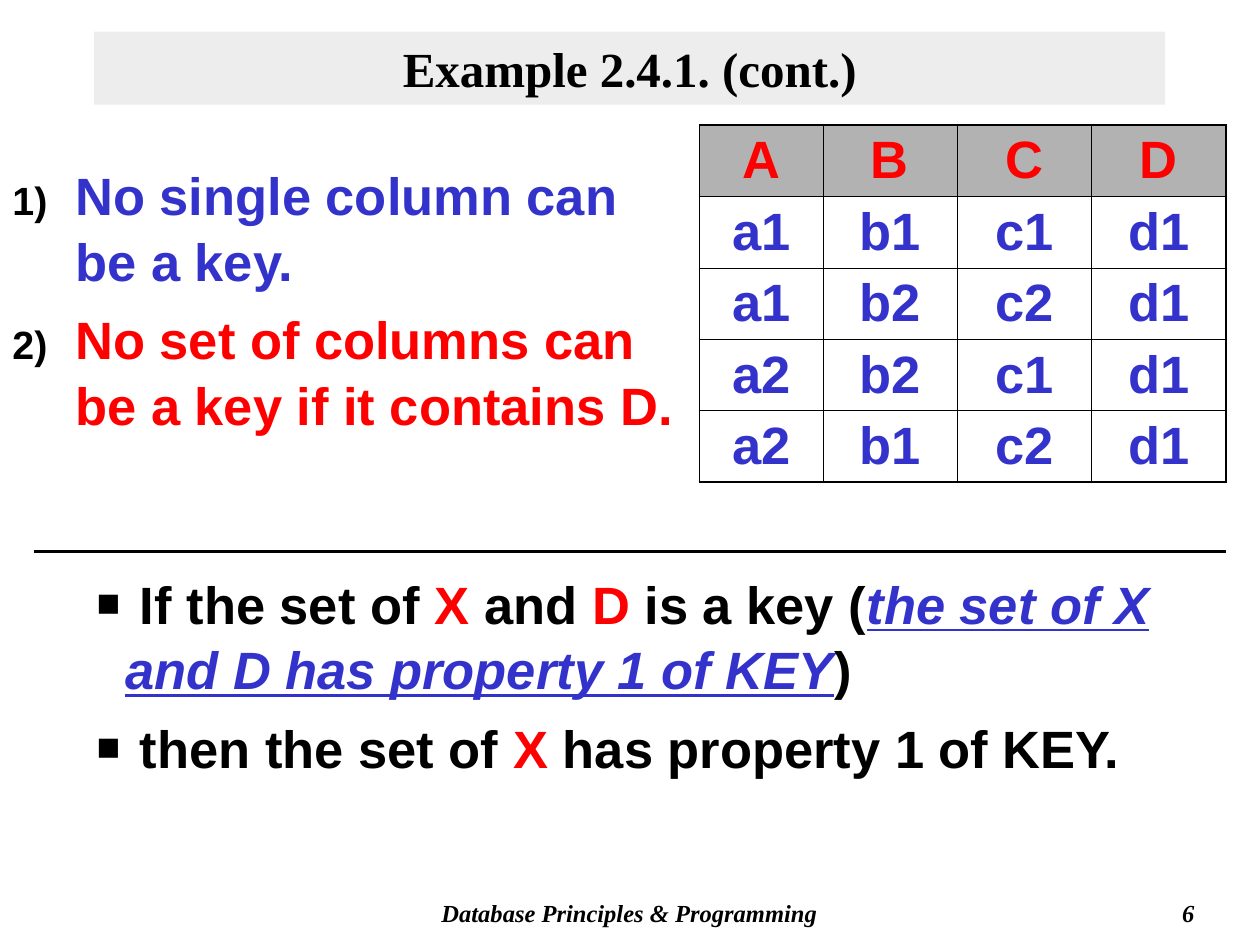
import pptx
import pptx.util
import pptx.dml.color
import pptx.enum.shapes
import pptx.enum.text
import pptx.oxml
import pptx.oxml.ns
import lxml.etree

Cm = pptx.util.Cm
Pt = pptx.util.Pt
RGBColor = pptx.dml.color.RGBColor
Align = pptx.enum.text.PP_ALIGN
Anchor = pptx.enum.text.MSO_ANCHOR
qn = pptx.oxml.ns.qn

BLACK = RGBColor(0x00, 0x00, 0x00)
RED = RGBColor(0xFF, 0x00, 0x00)
BLUE = RGBColor(0x33, 0x33, 0xCC)
HEADER_GREY = RGBColor(0xB2, 0xB2, 0xB2)
TITLE_GREY = RGBColor(0xDD, 0xDD, 0xDD)

SERIF = "Times New Roman"
SANS = "Arial"
BODY = {"size": 30, "font": SANS, "before": 7.5}
FOOTER = {"size": 14, "font": SERIF, "italic": True}


def add_child(parent, tag, **attributes):
    """Append an XML element with the given attributes."""
    child = lxml.etree.SubElement(parent, qn(tag))
    for name, value in attributes.items():
        child.set(name, str(value))
    return child


def write_paragraph(paragraph, runs, size, font, color=BLACK, italic=False,
                    align=Align.LEFT, before=0, line_spacing=None):
    """Write bold runs, each a (text, overrides) pair, into a paragraph."""
    paragraph.alignment = align
    paragraph.space_before = Pt(before)
    if line_spacing:
        paragraph.line_spacing = line_spacing
    for text, overrides in runs:
        run = paragraph.add_run()
        run.text = text
        run.font.name = font
        run.font.size = Pt(size)
        run.font.bold = True
        run.font.italic = overrides.get("italic", italic)
        run.font.underline = overrides.get("underline", False)
        run.font.color.rgb = overrides.get("color", color)


def add_bullet(paragraph, hanging, tag, **attributes):
    """Give a paragraph a black bullet at three quarters of the text size."""
    properties = paragraph._p.get_or_add_pPr()
    properties.set("marL", str(hanging))
    properties.set("indent", str(-hanging))
    bullet_color = add_child(properties, "a:buClr")
    add_child(bullet_color, "a:srgbClr", val=BLACK)
    add_child(properties, "a:buSzPct", val=75000)
    add_child(properties, "a:buFont", typeface=SANS)
    add_child(properties, tag, **attributes)


def add_text(shapes, box, paragraphs, **text_format):
    """Add a wrapping text box and return its paragraphs."""
    frame = shapes.add_textbox(*map(Cm, box)).text_frame
    frame.word_wrap = True
    for index, runs in enumerate(paragraphs):
        paragraph = frame.add_paragraph() if index else frame.paragraphs[0]
        write_paragraph(paragraph, runs, **text_format)
    return frame.paragraphs


def add_title(slide, box, text):
    """Draw the half-transparent title band."""
    band = slide.shapes.add_shape(
        pptx.enum.shapes.MSO_SHAPE.RECTANGLE, *map(Cm, box))
    band.shadow.inherit = False
    band.line.fill.background()
    band.fill.solid()
    band.fill.fore_color.rgb = TITLE_GREY
    add_child(band.fill._xPr.find(".//" + qn("a:srgbClr")), "a:alpha", val=50000)
    band.text_frame.word_wrap = True
    band.text_frame.vertical_anchor = Anchor.MIDDLE
    write_paragraph(band.text_frame.paragraphs[0], [(text, {})],
                    size=28, font=SERIF, align=Align.CENTER)


def set_borders(cell, outer_sides):
    """Draw thin cell borders, thicker on the outer sides of the table."""
    properties = cell._tc.get_or_add_tcPr()
    for index, side in enumerate("LRTB"):
        width = Pt(1.08 if side in outer_sides else 0.45)
        line = pptx.oxml.parse_xml(
            f'<a:ln{side} {pptx.oxml.ns.nsdecls("a")} w="{width}"><a:solidFill>'
            f'<a:srgbClr val="{BLACK}"/></a:solidFill></a:ln{side}>')
        properties.insert(index, line)


def add_relation(slide, left, top, widths, row_height, rows):
    """Draw the relation as a table with a grey header row."""
    frame = slide.shapes.add_table(
        len(rows), len(widths), Cm(left), Cm(top),
        Cm(sum(widths)), Cm(row_height * len(rows)))
    table = frame.table
    table.horz_banding = False
    table.first_row = False
    for column, width in zip(table.columns, widths):
        column.width = Cm(width)
    for r, values in enumerate(rows):
        table.rows[r].height = Cm(row_height)
        for c, value in enumerate(values):
            cell = table.cell(r, c)
            cell.vertical_anchor = Anchor.MIDDLE
            if r == 0:
                cell.fill.solid()
                cell.fill.fore_color.rgb = HEADER_GREY
            else:
                cell.fill.background()
            edges = {"L": c == 0, "R": c == len(widths) - 1,
                     "T": r == 0, "B": r == len(rows) - 1}
            set_borders(cell, [side for side in edges if edges[side]])
            write_paragraph(cell.text_frame.paragraphs[0], [(value, {})],
                            color=BLUE if r else RED, align=Align.CENTER, **BODY)


def add_claims(slide, box, claims):
    """List the numbered claims, given as (text, colour) pairs."""
    paragraphs = [[(text, {"color": color})] for text, color in claims]
    for paragraph in add_text(slide.shapes, box, paragraphs,
                              line_spacing=1.04, **BODY):
        add_bullet(paragraph, Cm(1.27), "a:buAutoNum", type="arabicParenR")


def add_reasoning(slide, box, rule_left, rule_right, rule_rise, paragraphs):
    """Group the bulleted reasoning with the rule above it."""
    group = slide.shapes.add_group_shape()
    for paragraph in add_text(group.shapes, box, paragraphs,
                              line_spacing=1.04, **BODY):
        add_bullet(paragraph, Cm(0.58), "a:buChar", char="■")
    rule_top = Cm(box[1] - rule_rise)
    rule = group.shapes.add_connector(
        pptx.enum.shapes.MSO_CONNECTOR.STRAIGHT,
        Cm(rule_left), rule_top, Cm(rule_right), rule_top)
    rule.line.color.rgb = BLACK
    rule.line.width = Pt(2)
    add_child(rule._element.spPr, "a:effectLst")


def add_footer(slide, top, course, number):
    """Place the course name and the page number."""
    for left, width, text, align in ((7.19, 11, course, Align.CENTER),
                                     (19.05, 5.28, number, Align.RIGHT)):
        add_text(slide.shapes, (left, top, width, 0.84), [[(text, {})]],
                 align=align, **FOOTER)


def main():
    """Build the slide and save it."""
    presentation = pptx.Presentation()
    presentation.slide_width = Cm(25.4)
    presentation.slide_height = Cm(19.05)
    slide = presentation.slides.add_slide(presentation.slide_layouts[6])

    add_title(slide, (1.9, 0.64, 21.59, 1.47), "Example 2.4.1. (cont.)")
    add_relation(slide, 14.1, 2.52, (2.49, 2.7, 2.72, 2.7), 1.44, [
        ("A", "B", "C", "D"),
        ("a1", "b1", "c1", "d1"),
        ("a1", "b2", "c2", "d1"),
        ("a2", "b2", "c1", "d1"),
        ("a2", "b1", "c2", "d1"),
    ])
    add_claims(slide, (0, 3.12, 14.1, 6.81), [
        ("No single column can be a key.", BLUE),
        ("No set of columns can be a key if it contains D.", RED),
    ])
    red = {"color": RED}
    stressed = {"color": BLUE, "italic": True, "underline": True}
    add_reasoning(slide, (1.7, 11.35, 22.81, 4.34), 0.69, 24.71, 0.23, [
        [(" If the set of ", {}), ("X", red), (" and ", {}), ("D", red),
         (" is a key (", {}),
         ("the set of X and D has property 1 of KEY", stressed), (")", {})],
        [(" then the set of ", {}), ("X", red), (" has property 1 of KEY.", {})],
    ])
    add_footer(slide, 17.98, "Database Principles & Programming", "6")
    presentation.save("out.pptx")


main()
